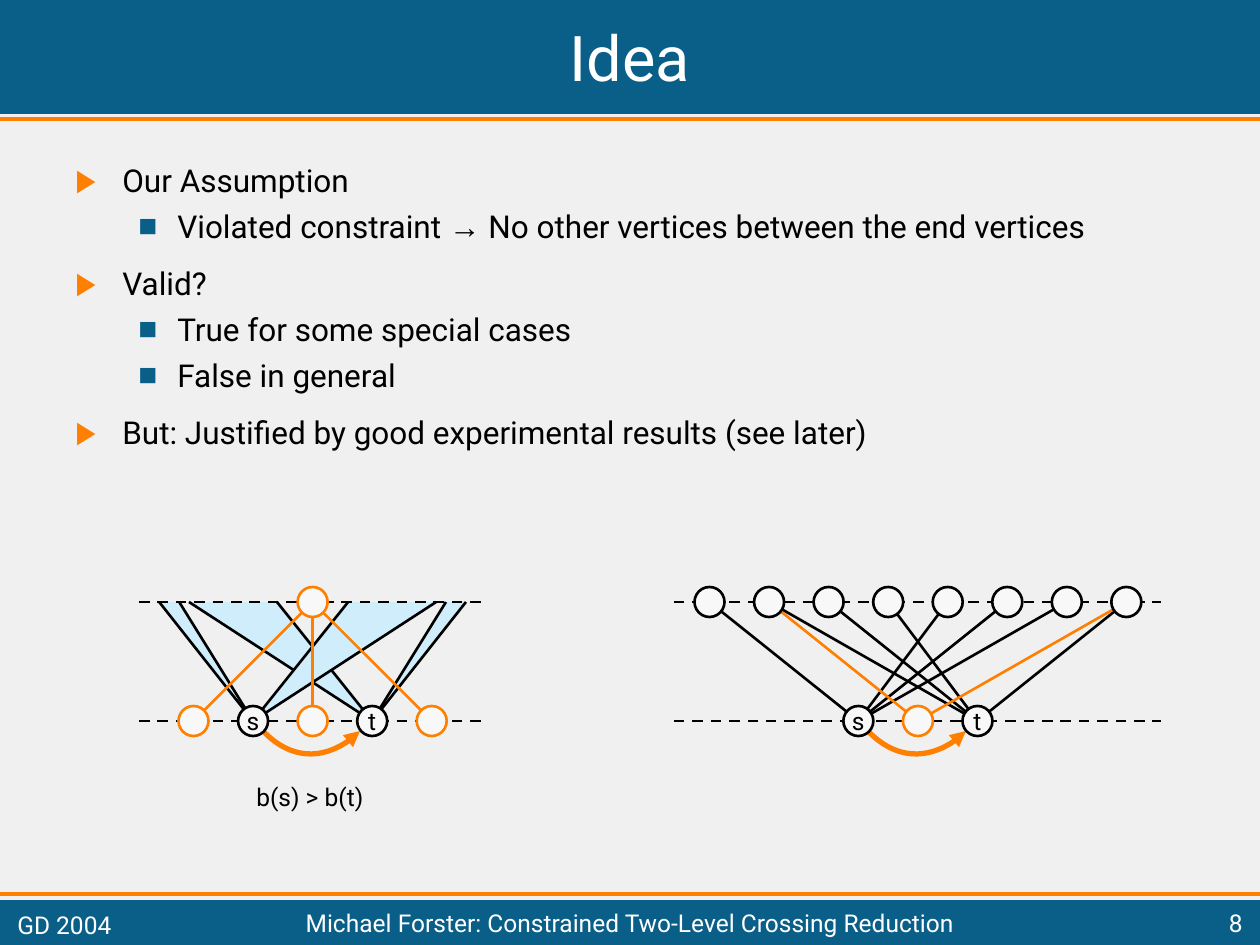
import pptx
import pptx.util
import pptx.dml.color
import pptx.enum.dml
import pptx.enum.shapes
import pptx.enum.text
import pptx.oxml
import pptx.oxml.ns

SCALE = 914400 / 126
HUES = {
    "blue": "0A5F89", "orange": "FF7F00", "sky": "D0EDFC", "black": "000000",
    "white": "FFFFFF", "node": "F8F8F8", "back": "F0F0F0",
}
FONT = "Roboto"
TOP, LOW, STEP, SIZE = 602, 721, 59.55, 30
ALIGN = pptx.enum.text.PP_ALIGN
MID = pptx.enum.text.MSO_ANCHOR.MIDDLE
KIND = pptx.enum.shapes.MSO_SHAPE
LEVELS = [
    {"sign": "▶", "hue": "orange", "left": 47, "hang": 47, "gap": 11.25},
    {"sign": "■", "hue": "blue", "left": 102, "hang": 39, "gap": 4.5},
]
POINTS = [
    (0, ["Our Assumption"]),
    (1, ["Violated constraint ", "→", " No other vertices between the end vertices"]),
    (0, ["Valid?"]),
    (1, ["True for some special cases"]),
    (1, ["False in general"]),
    (0, ["But: Justified by good experimental results (see later)"]),
]


def emu(px):
    """Turn pixels into EMU."""
    return pptx.util.Emu(round(px * SCALE))


def hue(name):
    """Return a named colour."""
    return pptx.dml.color.RGBColor.from_string(HUES[name])


def put(item, values):
    """Set each value on the item."""
    for key, value in values.items():
        setattr(item, key, value)


def make(tag, **values):
    """Make a drawing element with attributes."""
    node = pptx.oxml.parse_xml(f"<a:{tag} {pptx.oxml.ns.nsdecls('a')}/>")
    for key, value in values.items():
        node.set(key, str(value))
    return node


def ink(line, name, width):
    """Give a line its colour and width."""
    line.color.rgb = hue(name)
    line.width = pptx.util.Pt(width)


def paint(shape, fill=None, line=None, width=1.5):
    """Set fill and outline and drop the shadow."""
    shape.shadow.inherit = False
    if fill:
        shape.fill.solid()
        shape.fill.fore_color.rgb = hue(fill)
    else:
        shape.fill.background()
    if line:
        ink(shape.line, line, width)
    else:
        shape.line.fill.background()


def style(font, size, name):
    """Set the font of a run or paragraph."""
    put(font, {"name": FONT, "size": pptx.util.Pt(size)})
    font.color.rgb = hue(name)


def label(slide, words, box, size, name, align):
    """Add one line of text, centred in height."""
    frame = slide.shapes.add_textbox(*map(emu, box)).text_frame
    put(frame, {"word_wrap": True, "vertical_anchor": MID})
    para = frame.paragraphs[0]
    put(para, {"text": words, "alignment": align})
    style(para.runs[0].font, size, name)


def bar(slide, top, height):
    """Add a full-width blue bar."""
    paint(slide.shapes.add_shape(KIND.RECTANGLE, *map(emu, (0, top, 1260, height))), "blue")


def edge(slide, start, end, name="black", width=1.5, dash=False):
    """Join two points with a straight line."""
    kind = pptx.enum.shapes.MSO_CONNECTOR.STRAIGHT
    line = slide.shapes.add_connector(kind, *map(emu, (*start, *end)))
    ink(line.line, name, width)
    if dash:
        line.line.dash_style = pptx.enum.dml.MSO_LINE.DASH
    line._element.spPr.append(make("effectLst"))


def draw(slide, points, close):
    """Build an outline through the points."""
    spots = [(emu(x), emu(y)) for x, y in points]
    form = slide.shapes.build_freeform(*spots[0])
    form.add_line_segments(spots[1:], close=close)
    return form.convert_to_shape()


def fan(slide, foot, left, right):
    """Add a shaded bundle of edges from a lower vertex."""
    ends = [(left, TOP), (right, TOP)]
    paint(draw(slide, [(foot, LOW), *ends], True), "sky")
    for end in ends:
        edge(slide, (foot, LOW), end)


def bow(slide, start, end):
    """Add the curved constraint arrow."""
    points = [(start, 731), (start + 28, 760), (end - 28, 760), (end, 731)]
    shape = draw(slide, points, False)
    steps = list(shape._element.iter(pptx.oxml.ns.qn("a:lnTo")))
    curve = make("cubicBezTo")
    steps[0].addprevious(curve)
    for step in steps:
        curve.append(step[0])
        step.getparent().remove(step)
    paint(shape, None, "orange", 3)
    shape.line._get_or_add_ln().append(make("tailEnd", type="triangle"))


def dot(slide, x, y, name="black", word=None):
    """Add a vertex, with its letter if it has one."""
    box = (x - SIZE / 2, y - SIZE / 2, SIZE, SIZE)
    shape = slide.shapes.add_shape(KIND.OVAL, *map(emu, box))
    paint(shape, "node", name)
    if word:
        frame = shape.text_frame
        put(frame, {"word_wrap": False, "vertical_anchor": MID})
        para = frame.paragraphs[0]
        put(para, {"text": word, "alignment": ALIGN.CENTER})
        style(para.runs[0].font, 14, "black")


def bullets(slide):
    """Add the two-level list."""
    frame = slide.shapes.add_textbox(*map(emu, (63, 155, 1134, 346))).text_frame
    frame.word_wrap = True
    for index, (depth, parts) in enumerate(POINTS):
        para = frame.add_paragraph() if index else frame.paragraphs[0]
        look = LEVELS[depth]
        props = para._p.get_or_add_pPr()
        props.set("marL", str(emu(look["left"])))
        props.set("indent", str(emu(-look["hang"])))
        tint = make("buClr")
        tint.append(make("srgbClr", val=HUES[look["hue"]]))
        for node in (tint, make("buFont", typeface="Arial"), make("buChar", char=look["sign"])):
            props.append(node)
        put(para, {"level": depth, "space_before": pptx.util.Pt(look["gap"] if index else 0)})
        for part in parts:
            run = para.add_run()
            run.text = part
            style(run.font, 18, "black")
            if part == "→":
                run.font.name = "Arial"


def bundles(slide):
    """Draw the left graph with its shaded bundles."""
    cols = [193.5 + STEP * i for i in range(5)]
    s, mid, t = cols[1:4]
    for left, right in ((189, 277), (446, 466)):
        fan(slide, t, left, right)
    for left, right in ((189, 277), (446, 466)):
        fan(slide, s, 2 * mid - left, 2 * mid - right)
    for y in (LOW, TOP):
        edge(slide, (139, y), (486, y), dash=True)
    bow(slide, 263, 360)
    outer = cols[::2]
    for x in outer:
        edge(slide, (x, LOW), (mid, TOP), "orange")
    for x in outer:
        dot(slide, x, LOW, "orange")
    dot(slide, mid, TOP, "orange")
    dot(slide, s, LOW, word="s")
    dot(slide, t, LOW, word="t")
    label(slide, "b(s) > b(t)", (223, 775, 174, 43), 14, "black", ALIGN.CENTER)


def network(slide):
    """Draw the right graph with single edges."""
    cols = [709.5 + STEP * i for i in range(8)]
    s, mid, t = (cols[0] + STEP * i for i in (2.5, 3.5, 4.5))
    for y in (LOW, TOP):
        edge(slide, (674, y), (1161, y), dash=True)
    for foot, ends, name in ((s, (0, 4, 5, 6), "black"), (t, (1, 2, 3, 7), "black"),
                             (mid, (1, 7), "orange")):
        for end in ends:
            edge(slide, (foot, LOW), (cols[end], TOP), name)
    for x in cols:
        dot(slide, x, TOP)
    dot(slide, mid, LOW, "orange")
    bow(slide, 868, 966)
    dot(slide, t, LOW, word="t")
    dot(slide, s, LOW, word="s")


def main():
    """Build and save the slide."""
    deck = pptx.Presentation()
    put(deck, {"slide_width": emu(1260), "slide_height": emu(945)})
    slide = deck.slides.add_slide(deck.slide_layouts[6])
    slide.background.fill.solid()
    slide.background.fill.fore_color.rgb = hue("back")
    for top, height, rule in ((0, 114, 119), (900, 45, 894)):
        bar(slide, top, height)
        edge(slide, (0, rule), (1260, rule), "orange", 2.25)
    label(slide, "Idea", (5, 4, 1250, 105), 36, "white", ALIGN.CENTER)
    bullets(slide)
    bundles(slide)
    network(slide)
    for words, box, align in (
        ("Michael Forster: Constrained Two-Level Crossing Reduction", (164, 905, 932, 35), ALIGN.CENTER),
        ("8", (1106, 905, 149, 35), ALIGN.RIGHT),
        ("GD 2004", (5, 905, 199, 39), ALIGN.LEFT),
    ):
        label(slide, words, box, 14, "white", align)
    deck.save("out.pptx")


if __name__ == "__main__":
    main()
